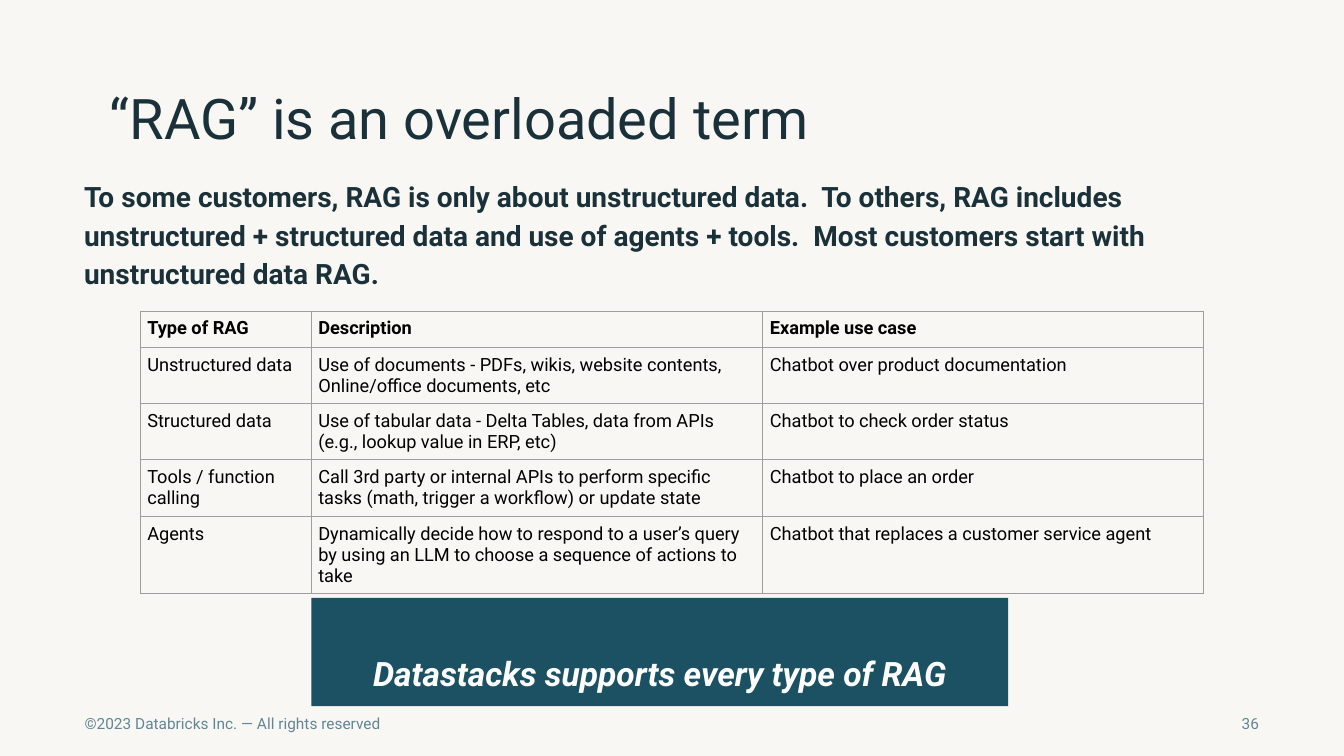
from dataclasses import dataclass

from lxml.etree import SubElement
from pptx import Presentation
from pptx.dml.color import RGBColor
from pptx.enum.shapes import MSO_SHAPE
from pptx.enum.text import MSO_ANCHOR, MSO_AUTO_SIZE, PP_ALIGN
from pptx.oxml.ns import qn
from pptx.util import Pt

TITLE = "“RAG” is an overloaded term"
INTRO = (
    "To some customers, RAG is only about unstructured data.  To others, RAG includes "
    "unstructured + structured data and use of agents + tools.  Most customers start with "
    "unstructured data RAG."
)
RAG_TYPES = [
    ("Type of RAG", "Description", "Example use case"),
    ("Unstructured data",
     "Use of documents - PDFs, wikis, website contents, Online/office documents, etc",
     "Chatbot over product documentation"),
    ("Structured data",
     "Use of tabular data - Delta Tables, data from APIs (e.g., lookup value in ERP, etc)",
     "Chatbot to check order status"),
    ("Tools / function calling",
     "Call 3rd party or internal APIs to perform specific tasks (math, trigger a workflow) "
     "or update state",
     "Chatbot to place an order"),
    ("Agents",
     "Dynamically decide how to respond to a user’s query by using an LLM to choose "
     "a sequence of actions to take",
     "Chatbot that replaces a customer service agent"),
]
BANNER = "Datastacks supports every type of RAG"
COPYRIGHT = "©2023 Databricks Inc. — All rights reserved"
PAGE_NUMBER = "36"

COLUMN_WIDTHS = (122.2, 322.6, 315)
ROW_HEIGHTS = (25.8, 40, 40, 40, 55)


@dataclass(frozen=True)
class Theme:
    font: str = "Roboto"
    background: str = "F9F7F4"
    ink: str = "1B3139"
    muted: str = "618794"
    banner: str = "1B5162"
    banner_text: str = "FFFFFF"
    table_text: str = "000000"
    border: str = "9E9E9E"
    title_size: float = 40
    intro_size: float = 20
    table_size: float = 13
    banner_size: float = 24
    footer_size: float = 11


THEME = Theme()


def write(frame, text, size, color, inset=0, anchor=MSO_ANCHOR.TOP,
          align=PP_ALIGN.LEFT, spacing=None, **font_format):
    frame_format = {
        "word_wrap": True, "auto_size": MSO_AUTO_SIZE.NONE, "vertical_anchor": anchor,
        "margin_left": Pt(inset), "margin_right": Pt(inset),
        "margin_top": Pt(inset), "margin_bottom": Pt(inset),
    }
    for name, value in frame_format.items():
        setattr(frame, name, value)
    write_paragraph(frame.paragraphs[0], text, size, color, align, spacing, **font_format)


def write_paragraph(paragraph, text, size, color, align=PP_ALIGN.LEFT, spacing=None,
                    **font_format):
    paragraph.alignment = align
    paragraph.line_spacing = spacing
    paragraph.space_before = Pt(0)
    run = paragraph.add_run()
    run.text = text
    font_format = {"name": THEME.font, "size": Pt(size), "bold": False, **font_format}
    for name, value in font_format.items():
        setattr(run.font, name, value)
    run.font.color.rgb = RGBColor.from_string(color)


def place(shape, left, top, width, height):
    shape.left, shape.top, shape.width, shape.height = map(Pt, (left, top, width, height))
    return shape


def remove_bullet(paragraph):
    properties = paragraph._p.get_or_add_pPr()
    properties.set("marL", "0")
    properties.set("indent", "0")
    SubElement(properties, qn("a:buNone"))


def draw_cell_borders(cell):
    properties = cell._tc.get_or_add_tcPr()
    for index, side in enumerate(("a:lnL", "a:lnR", "a:lnT", "a:lnB")):
        line = SubElement(properties, qn(side), w=str(Pt(0.75)))
        fill = SubElement(line, qn("a:solidFill"))
        SubElement(fill, qn("a:srgbClr"), val=THEME.border)
        properties.insert(index, line)


def add_rag_table(slide, left, top):
    frame = slide.shapes.add_table(
        len(ROW_HEIGHTS), len(COLUMN_WIDTHS), Pt(left), Pt(top),
        Pt(sum(COLUMN_WIDTHS)), Pt(sum(ROW_HEIGHTS)))
    table = frame.table
    table.horz_banding = False
    for column, width in zip(table.columns, COLUMN_WIDTHS):
        column.width = Pt(width)
    for row_index, (row, height) in enumerate(zip(table.rows, ROW_HEIGHTS)):
        row.height = Pt(height)
        for cell, text in zip(row.cells, RAG_TYPES[row_index]):
            for side in ("left", "right", "top", "bottom"):
                setattr(cell, f"margin_{side}", Pt(5))
            cell.fill.background()
            draw_cell_borders(cell)
            write_paragraph(cell.text_frame.paragraphs[0], text, THEME.table_size,
                            THEME.table_text, bold=row_index == 0)


def add_banner(slide, left, top, width, height):
    banner = slide.shapes.add_shape(
        MSO_SHAPE.RECTANGLE, Pt(left), Pt(top), Pt(width), Pt(height))
    banner.shadow.inherit = False
    banner.fill.solid()
    banner.fill.fore_color.rgb = RGBColor.from_string(THEME.banner)
    banner.line.fill.background()
    write(banner.text_frame, BANNER, THEME.banner_size, THEME.banner_text, inset=9.4,
          anchor=MSO_ANCHOR.BOTTOM, align=PP_ALIGN.CENTER, bold=True, italic=True)


def add_label(slide, text, left, top, width, height, **text_format):
    box = slide.shapes.add_textbox(Pt(left), Pt(top), Pt(width), Pt(height))
    write(box.text_frame, text, THEME.footer_size, THEME.muted, **text_format)


def main():
    presentation = Presentation()
    presentation.slide_width, presentation.slide_height = Pt(960), Pt(540)
    slide = presentation.slides.add_slide(presentation.slide_layouts[1])
    slide.background.fill.solid()
    slide.background.fill.fore_color.rgb = RGBColor.from_string(THEME.background)

    add_label(slide, COPYRIGHT, 51, 501, 423, 32.4, inset=9.4)
    title = place(slide.shapes.title, 78.5, 56, 821, 61)
    write(title.text_frame, TITLE, THEME.title_size, THEME.ink,
          anchor=MSO_ANCHOR.MIDDLE, spacing=0.9)
    intro = place(slide.placeholders[1], 60, 124.5, 839.5, 327)
    remove_bullet(intro.text_frame.paragraphs[0])
    write(intro.text_frame, INTRO, THEME.intro_size, THEME.ink, spacing=1.15, bold=True)
    add_rag_table(slide, 100.2, 222.3)
    add_banner(slide, 222.4, 427, 497.8, 77.5)
    add_label(slide, PAGE_NUMBER, 874, 509.8, 25.4, 14.4, align=PP_ALIGN.RIGHT)

    presentation.save("out.pptx")


if __name__ == "__main__":
    main()
